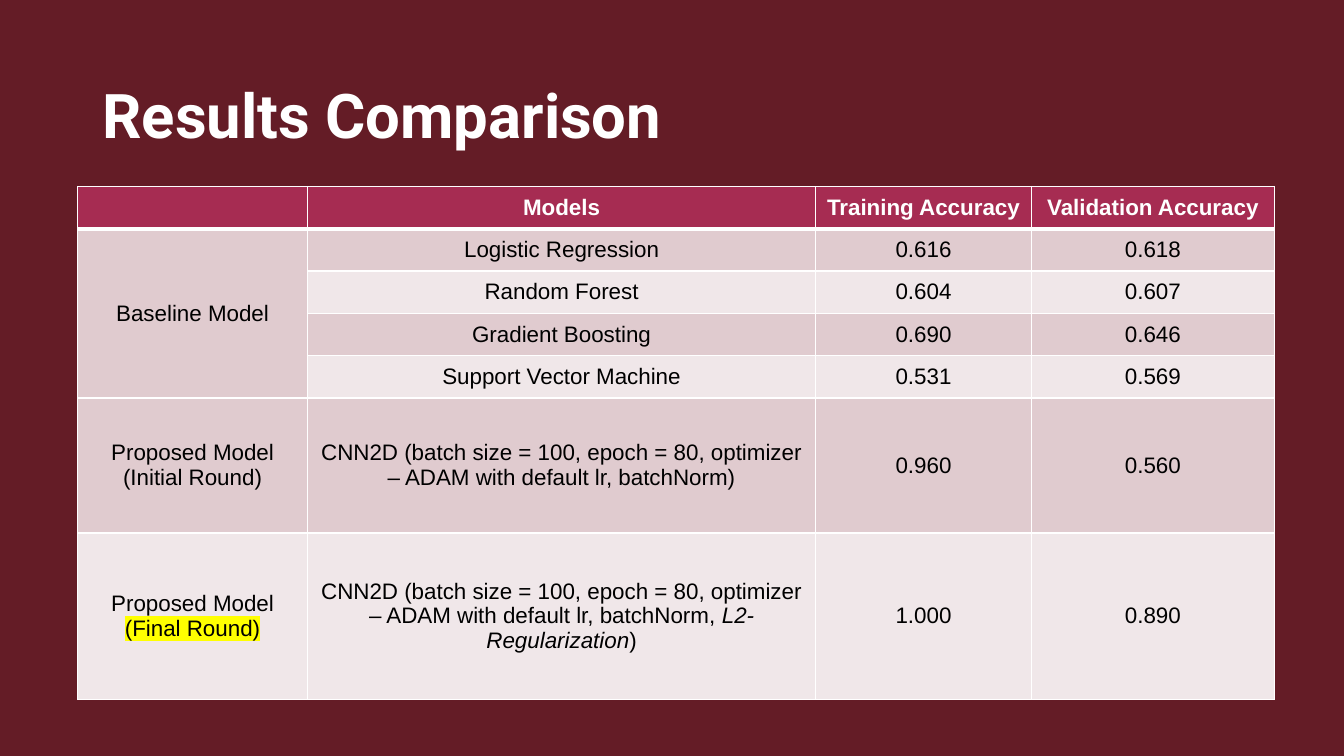
import lxml.etree
import pptx
import pptx.dml.color
import pptx.enum.text
import pptx.oxml.ns
import pptx.util

Inches = pptx.util.Inches
WHITE, BLACK, YELLOW = "FFFFFF", "000000", "FFFF00"
MAROON, CRIMSON = "641C26", "A62C52"
BANDS = ("F0E7E9", "E0CBCF")
CNN = "CNN2D (batch size = 100, epoch = 80, optimizer – ADAM with default lr, batchNorm"
COLUMNS = (2.28, 5.04, 2.14, 2.41)
HEIGHTS = (0.42,) * 5 + (1.34, 1.65)
ROWS = (
    ("", "Models", "Training Accuracy", "Validation Accuracy"),
    ("Baseline Model", "Logistic Regression", "0.616", "0.618"),
    ("", "Random Forest", "0.604", "0.607"),
    ("", "Gradient Boosting", "0.690", "0.646"),
    ("", "Support Vector Machine", "0.531", "0.569"),
    ("Proposed Model (Initial Round)", CNN + ")", "0.960", "0.560"),
    ([[("Proposed Model", "")], [("(Final Round)", "highlight")]],
     [[(CNN + ", ", ""), ("L2-Regularization", "italic"), (")", "")]], "1.000", "0.890"),
)


def rgb(color):
    """Turn a hex string into a colour."""
    return pptx.dml.color.RGBColor.from_string(color)


def set_font(font, name, size, color, bold):
    """Set the face, size, colour and weight of a font."""
    font.name, font.size, font.bold = name, pptx.util.Pt(size), bold
    font.color.rgb = rgb(color)


def add_solid(parent, color):
    """Add a solid fill element to a line element."""
    fill = lxml.etree.SubElement(parent, pptx.oxml.ns.qn("a:solidFill"))
    lxml.etree.SubElement(fill, pptx.oxml.ns.qn("a:srgbClr"), val=color)


def add_borders(cell, bottom, top):
    """Draw white borders, with the given bottom and top widths in points."""
    tcPr = cell._tc.get_or_add_tcPr()
    for i, (side, width) in enumerate((("L", 1), ("R", 1), ("T", top), ("B", bottom))):
        ln = lxml.etree.Element(pptx.oxml.ns.qn("a:ln" + side), w=str(pptx.util.Pt(width)))
        add_solid(ln, WHITE)
        tcPr.insert(i, ln)


def add_highlight(r, color):
    """Mark a run with a highlight colour."""
    rPr = r._r.get_or_add_rPr()
    highlight = lxml.etree.SubElement(rPr, pptx.oxml.ns.qn("a:highlight"))
    lxml.etree.SubElement(highlight, pptx.oxml.ns.qn("a:srgbClr"), val=color)


def fill_cell(cell, content, row):
    """Write and colour one cell according to its row."""
    header = row == 0
    cell.fill.solid()
    cell.fill.fore_color.rgb = rgb(CRIMSON if header else BANDS[row % 2])
    cell.vertical_anchor = pptx.enum.text.MSO_ANCHOR.MIDDLE
    add_borders(cell, 3 if header else 1, 3 if row == 1 else 1)
    paragraphs = [[(content, "")]] if isinstance(content, str) else content
    tf = cell.text_frame
    for i, runs in enumerate(paragraphs):
        p = tf.add_paragraph() if i else tf.paragraphs[0]
        p.alignment = pptx.enum.text.PP_ALIGN.CENTER
        set_font(p.font, "Arial", 16, WHITE if header else BLACK, header)
        for text, style in runs:
            if not text:
                continue
            r = p.add_run()
            r.text = text
            if style == "italic":
                r.font.italic = True
            elif style == "highlight":
                add_highlight(r, YELLOW)


def add_title(slide, left, top, width, height):
    """Place the slide title in its box."""
    tf = slide.shapes.add_textbox(Inches(left), Inches(top), Inches(width), Inches(height)).text_frame
    tf.word_wrap = True
    tf.vertical_anchor = pptx.enum.text.MSO_ANCHOR.MIDDLE
    p = tf.paragraphs[0]
    p.text = "Results Comparison"
    set_font(p.font, "Roboto", 44, WHITE, True)


def add_results(slide, left, top):
    """Place the accuracy table with its top left corner at the given point."""
    table = slide.shapes.add_table(
        len(ROWS), len(COLUMNS), Inches(left), Inches(top),
        Inches(sum(COLUMNS)), Inches(sum(HEIGHTS))).table
    for column, width in zip(table.columns, COLUMNS):
        column.width = Inches(width)
    for i, (height, contents) in enumerate(zip(HEIGHTS, ROWS)):
        table.rows[i].height = Inches(height)
        for j, content in enumerate(contents):
            fill_cell(table.cell(i, j), content, i)
    table.cell(1, 0).merge(table.cell(4, 0))


def main():
    """Build and save the slide."""
    prs = pptx.Presentation()
    prs.slide_width, prs.slide_height = Inches(13.33), Inches(7.5)
    slide = prs.slides.add_slide(prs.slide_layouts[6])
    slide.background.fill.solid()
    slide.background.fill.fore_color.rgb = rgb(MAROON)
    add_title(slide, 0.92, 0.4, 11.5, 1.45)
    add_results(slide, 0.77, 1.85)
    prs.save("out.pptx")


if __name__ == "__main__":
    main()
